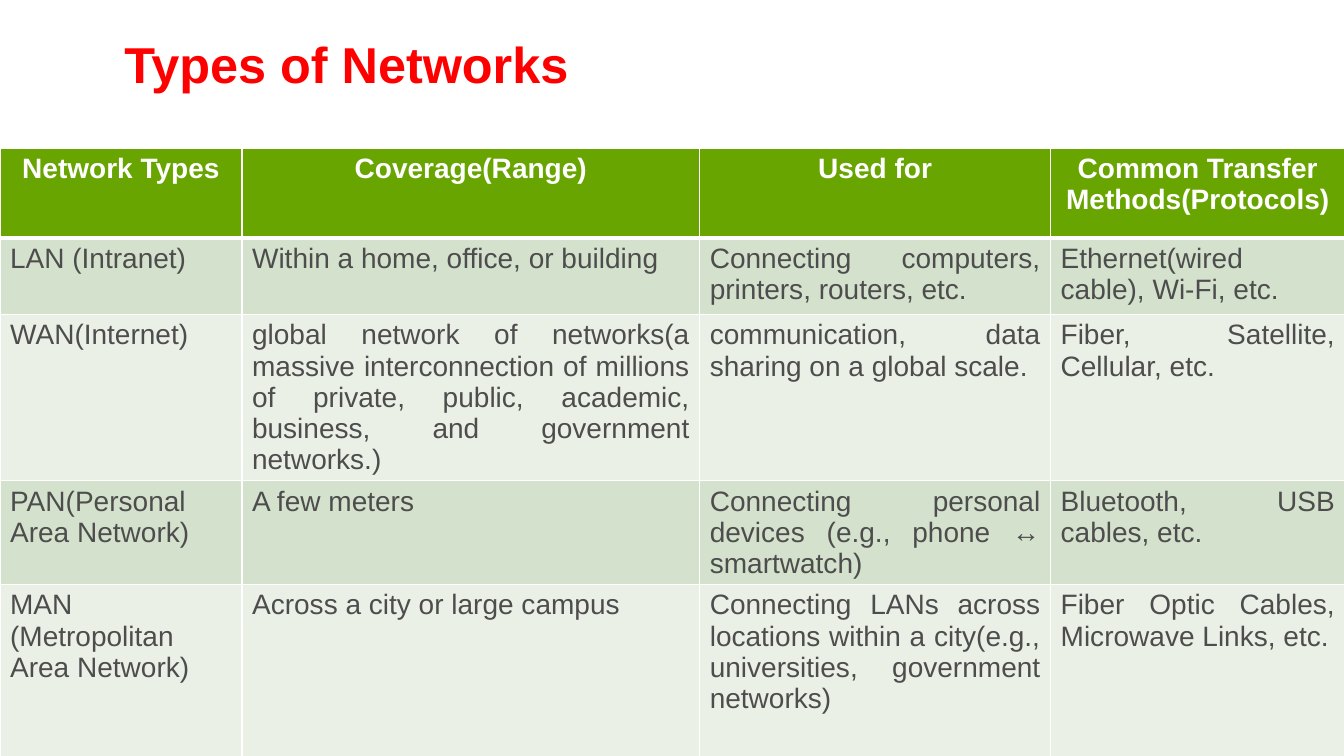
"""Build the slide that compares types of networks in a table."""
import pptx
import pptx.dml.color
import pptx.enum.text
import pptx.oxml
import pptx.oxml.ns
import pptx.util

ALIGN = pptx.enum.text.PP_ALIGN
ANCHOR = pptx.enum.text.MSO_ANCHOR
SLIDE_WIDTH, SLIDE_HEIGHT = 13.33, 7.5
COLUMN_WIDTHS = (2.4, 4.54, 3.48, 2.92)
ROW_HEIGHTS = (0.89, 0.76, 1.48, 0.76, 2.14)
THEME = {
    "title": {"name": "Arial", "size": 36, "bold": True, "color": "FF0000"},
    "header": {"name": "Arial", "size": 20, "bold": True, "color": "FFFFFF"},
    "body": {"name": "Arial", "size": 20, "bold": False, "color": "4D4D4D"},
    "header_fill": "68A500",
    "band_fills": ("D4E1CC", "EBF0E7"),
    "border": "FFFFFF",
    "title_shadow": "224400",
}
NETWORKS = (
    ("Network Types", "Coverage(Range)", "Used for", "Common Transfer Methods(Protocols)"),
    ("LAN (Intranet)", "Within a home, office, or building",
     "Connecting computers, printers, routers, etc.",
     "Ethernet(wired cable), Wi-Fi, etc."),
    ("WAN(Internet)",
     "global network of networks(a massive interconnection of millions of private, "
     "public, academic, business, and government networks.)",
     "communication, data sharing on a global scale.",
     "Fiber, Satellite, Cellular, etc."),
    ("PAN(Personal Area Network)", "A few meters",
     "Connecting personal devices (e.g., phone ↔ smartwatch)",
     "Bluetooth, USB cables, etc."),
    ("MAN (Metropolitan Area Network)", "Across a city or large campus",
     "Connecting LANs across locations within a city(e.g., universities, government networks)",
     "Fiber Optic Cables, Microwave Links, etc."),
)


def write_text(text_frame, text, style, alignment):
    """Write one formatted run and return it."""
    paragraph = text_frame.paragraphs[0]
    paragraph.alignment = alignment
    run = paragraph.add_run()
    run.text = text
    formats = dict(THEME[style])
    run.font.color.rgb = pptx.dml.color.RGBColor.from_string(formats.pop("color"))
    formats["size"] = pptx.util.Pt(formats["size"])
    for attribute, value in formats.items():
        setattr(run.font, attribute, value)
    return run


def add_text_shadow(run):
    """Give a run a small hard shadow towards the lower right."""
    namespace = pptx.oxml.ns.nsdecls("a")
    effects = pptx.oxml.parse_xml(
        f'<a:effectLst {namespace}><a:outerShdw blurRad="38100" dist="38100" '
        f'dir="2700000" algn="tl"><a:srgbClr val="{THEME["title_shadow"]}"/>'
        '</a:outerShdw></a:effectLst>')
    run.font.fill._xPr.find(pptx.oxml.ns.qn("a:solidFill")).addnext(effects)


def add_title(slide, text):
    """Place and format the title placeholder."""
    title = slide.shapes.title
    box = {"left": 0.085 * SLIDE_WIDTH, "top": 0,
           "width": 0.8 * SLIDE_WIDTH, "height": 0.168 * SLIDE_HEIGHT}
    for attribute, length in box.items():
        setattr(title, attribute, pptx.util.Inches(length))
    title.text_frame.vertical_anchor = ANCHOR.MIDDLE
    add_text_shadow(write_text(title.text_frame, text, "title", ALIGN.LEFT))


def set_borders(cell, bottom_width):
    """Draw the four borders of a cell."""
    widths = {"lnL": 1, "lnR": 1, "lnT": 1, "lnB": bottom_width}
    namespace = pptx.oxml.ns.nsdecls("a")
    for position, (side, width) in enumerate(widths.items()):
        line = pptx.oxml.parse_xml(
            f'<a:{side} {namespace} w="{pptx.util.Pt(width)}"><a:solidFill>'
            f'<a:srgbClr val="{THEME["border"]}"/></a:solidFill></a:{side}>')
        cell._tc.get_or_add_tcPr().insert(position, line)


def format_cell(cell, text, row_number):
    """Fill, border and write one cell as header or banded body."""
    header = row_number == 0
    fill = THEME["header_fill"] if header else THEME["band_fills"][(row_number - 1) % 2]
    cell.fill.solid()
    cell.fill.fore_color.rgb = pptx.dml.color.RGBColor.from_string(fill)
    set_borders(cell, 3 if header else 1)
    write_text(cell.text_frame, text, "header" if header else "body",
               ALIGN.CENTER if header else ALIGN.JUSTIFY)


def add_network_table(slide):
    """Add the comparison table across the slide."""
    frame = slide.shapes.add_table(
        len(ROW_HEIGHTS), len(COLUMN_WIDTHS), 0, pptx.util.Inches(0.196 * SLIDE_HEIGHT),
        pptx.util.Inches(sum(COLUMN_WIDTHS)), pptx.util.Inches(sum(ROW_HEIGHTS)))
    table = frame.table
    for column, width in zip(table.columns, COLUMN_WIDTHS):
        column.width = pptx.util.Inches(width)
    for row_number, (row, height) in enumerate(zip(table.rows, ROW_HEIGHTS)):
        row.height = pptx.util.Inches(height)
        for cell, text in zip(row.cells, NETWORKS[row_number]):
            format_cell(cell, text, row_number)


def main():
    """Build and save the presentation."""
    presentation = pptx.Presentation()
    presentation.slide_width = pptx.util.Inches(SLIDE_WIDTH)
    presentation.slide_height = pptx.util.Inches(SLIDE_HEIGHT)
    slide = presentation.slides.add_slide(presentation.slide_layouts[5])
    add_title(slide, "Types of Networks")
    add_network_table(slide)
    presentation.save("out.pptx")


if __name__ == "__main__":
    main()
